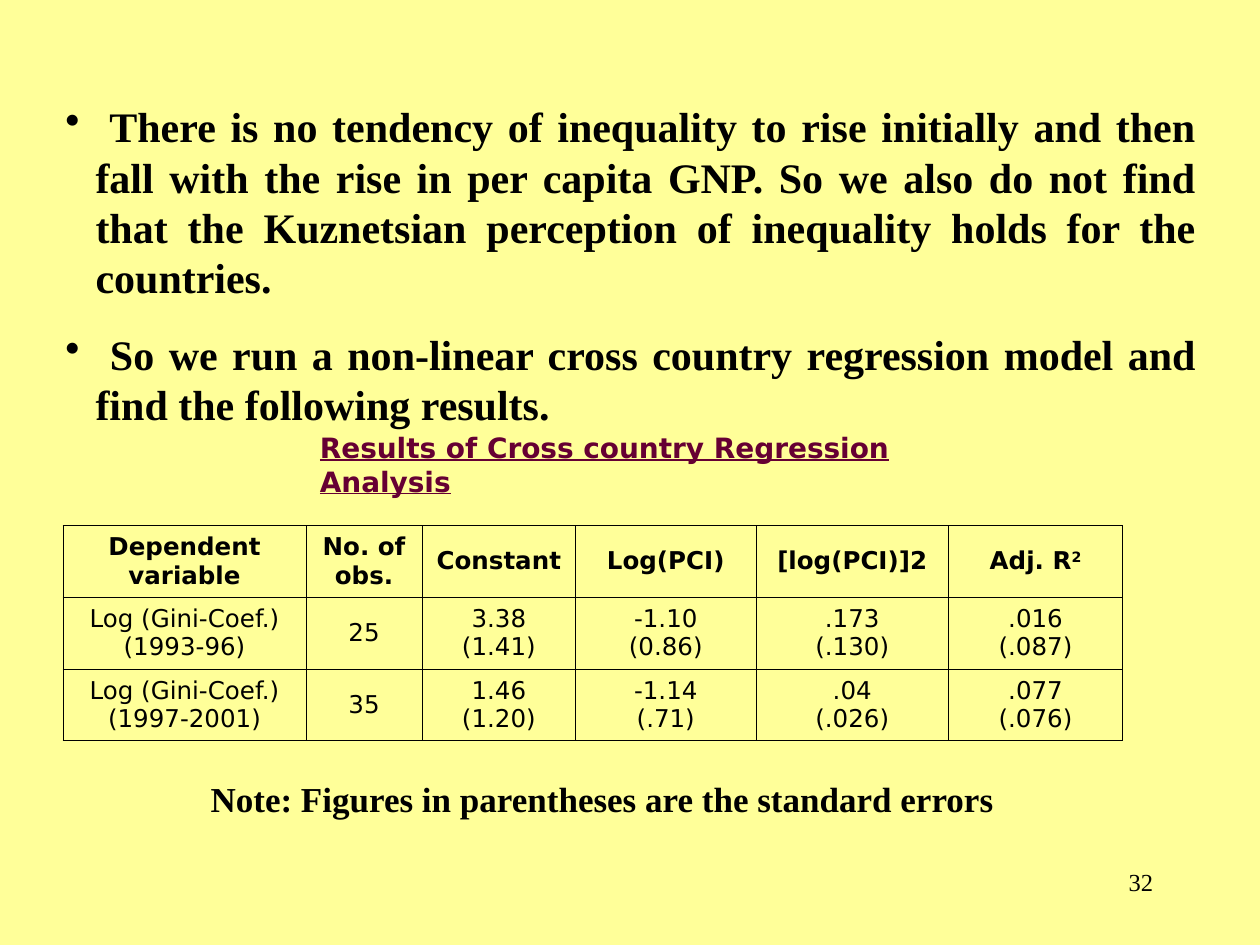
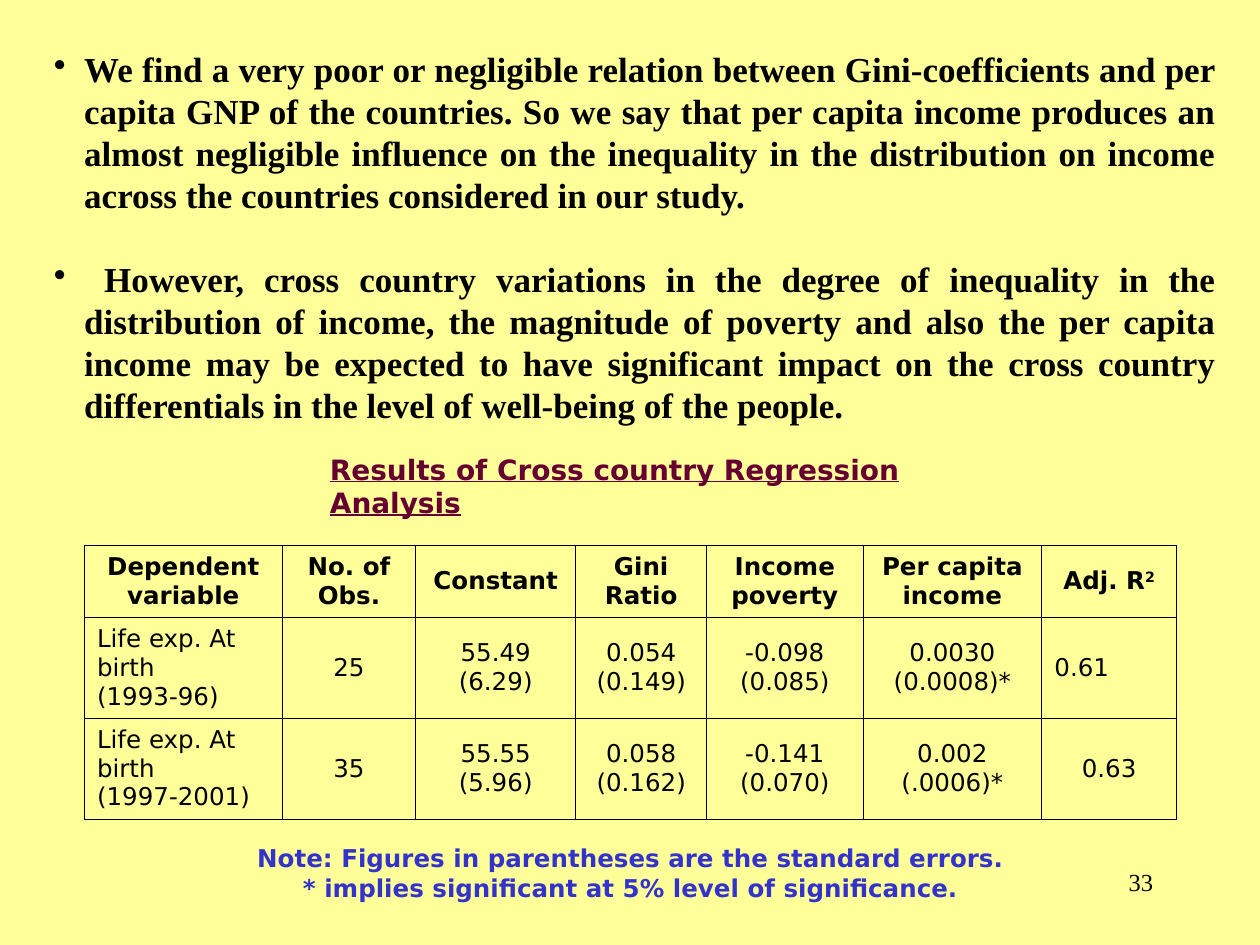
import dataclasses
import typing

import pptx
import pptx.dml.color
import pptx.enum.text
import pptx.oxml.ns
import pptx.util
from lxml import etree

Inches = pptx.util.Inches
Pt = pptx.util.Pt
ALIGN = pptx.enum.text.PP_ALIGN
ANCHOR = pptx.enum.text.MSO_ANCHOR

# Shared colours and text looks
COLORS = {"page": "FFFF99", "ink": "000000", "wine": "660033", "blue": "3333CC"}
SERIF, SANS = "Times New Roman", "DejaVu Sans"
LOOKS = {
    "large": {"name": SERIF, "size": Pt(24), "bold": True},
    "body": {"name": SERIF, "size": Pt(20), "bold": True},
    "title": {"name": SANS, "size": Pt(16), "bold": True, "underline": True},
    "head": {"name": SANS, "size": Pt(14), "bold": True},
    "cell": {"name": SANS, "size": Pt(14), "bold": False},
    "page": {"name": SERIF, "size": Pt(14), "bold": False},
}
INSETS = {
    "margin_left": Inches(0.1),
    "margin_right": Inches(0.1),
    "margin_top": Inches(0.05),
    "margin_bottom": Inches(0.05),
}
HANG = Inches(0.24)
TITLE = "Results of Cross country Regression Analysis"


@dataclasses.dataclass
class Label:
    at: tuple[float, float, float, float]
    lines: list[str]
    look: str
    color: str = "ink"
    align: typing.Any = ALIGN.LEFT
    anchor: typing.Any = ANCHOR.TOP
    wrap: bool = True
    bullet: bool = False
    gap: float = 0


@dataclasses.dataclass
class Grid:
    at: tuple[float, float]
    cols: list[float]
    rows: list[float]
    cells: list[list[str]]
    left: set[tuple[int, int]] = dataclasses.field(default_factory=set)


@dataclasses.dataclass
class Page:
    number: int
    points: Label
    title: tuple[float, float]
    grid: Grid
    note: Label


def assign(target: typing.Any, values: dict[str, typing.Any]) -> None:
    for key, value in values.items():
        setattr(target, key, value)


def paint(color: typing.Any, name: str) -> None:
    color.rgb = pptx.dml.color.RGBColor.from_string(COLORS[name])


def add_bullet(para: typing.Any) -> None:
    props = para._p.get_or_add_pPr()
    props.set("marL", str(HANG))
    props.set("indent", str(-HANG))
    mark = etree.SubElement(props, pptx.oxml.ns.qn("a:buChar"))
    mark.set("char", "•")


def write(frame: typing.Any, label: Label) -> None:
    """Fill a text frame; a caret starts a superscript."""
    for i, line in enumerate(label.lines):
        para = frame.add_paragraph() if i else frame.paragraphs[0]
        para.alignment = label.align
        if i and label.gap:
            para.space_before = Pt(label.gap)
        if label.bullet:
            add_bullet(para)
        for j, part in enumerate(line.split("^")):
            run = para.add_run()
            run.text = part
            assign(run.font, LOOKS[label.look])
            paint(run.font.color, label.color)
            if j:
                run._r.get_or_add_rPr().set("baseline", "30000")


def draw_label(slide: typing.Any, label: Label) -> None:
    frame = slide.shapes.add_textbox(*map(Inches, label.at)).text_frame
    assign(frame, INSETS)
    assign(frame, {"word_wrap": label.wrap, "vertical_anchor": label.anchor})
    write(frame, label)


def add_border(cell: typing.Any) -> None:
    props = cell._tc.get_or_add_tcPr()
    for i, side in enumerate(("lnL", "lnR", "lnT", "lnB")):
        line = etree.Element(pptx.oxml.ns.qn(f"a:{side}"), w=str(Pt(0.45)))
        fill = etree.SubElement(line, pptx.oxml.ns.qn("a:solidFill"))
        etree.SubElement(fill, pptx.oxml.ns.qn("a:srgbClr"), val=COLORS["ink"])
        props.insert(i, line)


def draw_grid(slide: typing.Any, grid: Grid) -> None:
    place = (*grid.at, sum(grid.cols), sum(grid.rows))
    frame = slide.shapes.add_table(
        len(grid.rows), len(grid.cols), *map(Inches, place))
    table = frame.table
    assign(table, {"first_row": False, "horz_banding": False})
    for col, width in zip(table.columns, grid.cols):
        col.width = Inches(width)
    for r, (row, height) in enumerate(zip(table.rows, grid.rows)):
        row.height = Inches(height)
        for c, text in enumerate(grid.cells[r]):
            cell = table.cell(r, c)
            assign(cell, INSETS)
            cell.vertical_anchor = ANCHOR.MIDDLE
            cell.fill.background()
            add_border(cell)
            align = ALIGN.LEFT if (r, c) in grid.left else ALIGN.CENTER
            look = "cell" if r else "head"
            write(cell.text_frame,
                  Label((0, 0, 0, 0), text.split("\n"), look, align=align))


def draw_page(deck: typing.Any, page: Page) -> None:
    slide = deck.slides.add_slide(deck.slide_layouts[6])
    fill = slide.background.fill
    fill.solid()
    paint(fill.fore_color, "page")
    draw_label(slide, page.points)
    draw_label(slide, Label((*page.title, 5.11, 0.64), [TITLE], "title", "wine"))
    draw_grid(slide, page.grid)
    draw_label(slide, page.note)
    draw_label(slide, Label((7.17, 6.83, 2.08, 0.5), [str(page.number)],
                            "page", align=ALIGN.RIGHT))


PAGES = [
    # Gini coefficient on income
    Page(
        32,
        Label((0.42, 0.75, 9.17, 2.71), [
            " There is no tendency of inequality to rise initially and then "
            "fall with the rise in per capita GNP. So we also do not find that "
            "the Kuznetsian perception of inequality holds for the countries. ",
            " So we run a non-linear cross country regression model and find "
            "the following results.",
        ], "large", align=ALIGN.JUSTIFY, bullet=True, gap=15),
        (2.44, 3.37),
        Grid((0.5, 4.17), [1.93, 0.92, 1.22, 1.43, 1.53, 1.38], [0.57] * 3, [
            ["Dependent variable", "No. of obs.", "Constant", "Log(PCI)",
             "[log(PCI)]2", "Adj. R^2"],
            ["Log (Gini-Coef.)\n(1993-96)", "25", "3.38\n(1.41)",
             "-1.10\n(0.86)", ".173\n(.130)", ".016\n(.087)"],
            ["Log (Gini-Coef.)\n(1997-2001)", "35", "1.46\n(1.20)",
             "-1.14\n(.71)", ".04\n(.026)", ".077\n(.076)"],
        ]),
        Label((1.56, 6.12, 6.51, 0.44),
              ["Note: Figures in parentheses are the standard errors "],
              "body", align=ALIGN.CENTER, anchor=ANCHOR.MIDDLE, wrap=False),
    ),
    # Life expectancy on inequality, poverty and income
    Page(
        33,
        Label((0.33, 0.33, 9.42, 3.44), [
            "We find a very poor or negligible relation between "
            "Gini-coefficients and per capita GNP of the countries. So we say "
            "that per capita income produces an almost negligible influence on "
            "the inequality in the distribution on income across the countries "
            "considered in our study. ",
            " However, cross country variations in the degree of inequality in "
            "the distribution of income, the magnitude of poverty and also the "
            "per capita income may be expected to have significant impact on "
            "the cross country differentials in the level of well-being of the "
            "people. ",
        ], "body", align=ALIGN.JUSTIFY, bullet=True, gap=24),
        (2.52, 3.54),
        Grid((0.67, 4.33), [1.57, 1.06, 1.27, 1.04, 1.24, 1.42, 1.07],
             [0.57, 0.8, 0.8], [
            ["Dependent variable", "No. of Obs.", "Constant", "Gini\nRatio",
             "Income poverty", "Per capita income", "Adj. R^2"],
            ["Life exp. At birth\n(1993-96)", "25", "55.49\n(6.29)",
             "0.054\n(0.149)", "-0.098\n(0.085)", "0.0030\n(0.0008)*", "0.61"],
            ["Life exp. At birth\n(1997-2001)", "35", "55.55\n(5.96)",
             "0.058\n(0.162)", "-0.141\n(0.070)", "0.002\n(.0006)*", "0.63"],
        ], {(1, 0), (1, 6), (2, 0)}),
        Label((0.67, 6.64, 8.67, 0.57), [
            "Note: Figures in parentheses are the standard errors.",
            "* implies significant at 5% level of significance.",
        ], "head", "blue", ALIGN.CENTER, ANCHOR.MIDDLE),
    ),
]


def main() -> None:
    deck = pptx.Presentation()
    assign(deck, {"slide_width": Inches(10), "slide_height": Inches(7.5)})
    for page in PAGES:
        draw_page(deck, page)
    deck.save("out.pptx")


if __name__ == "__main__":
    main()
